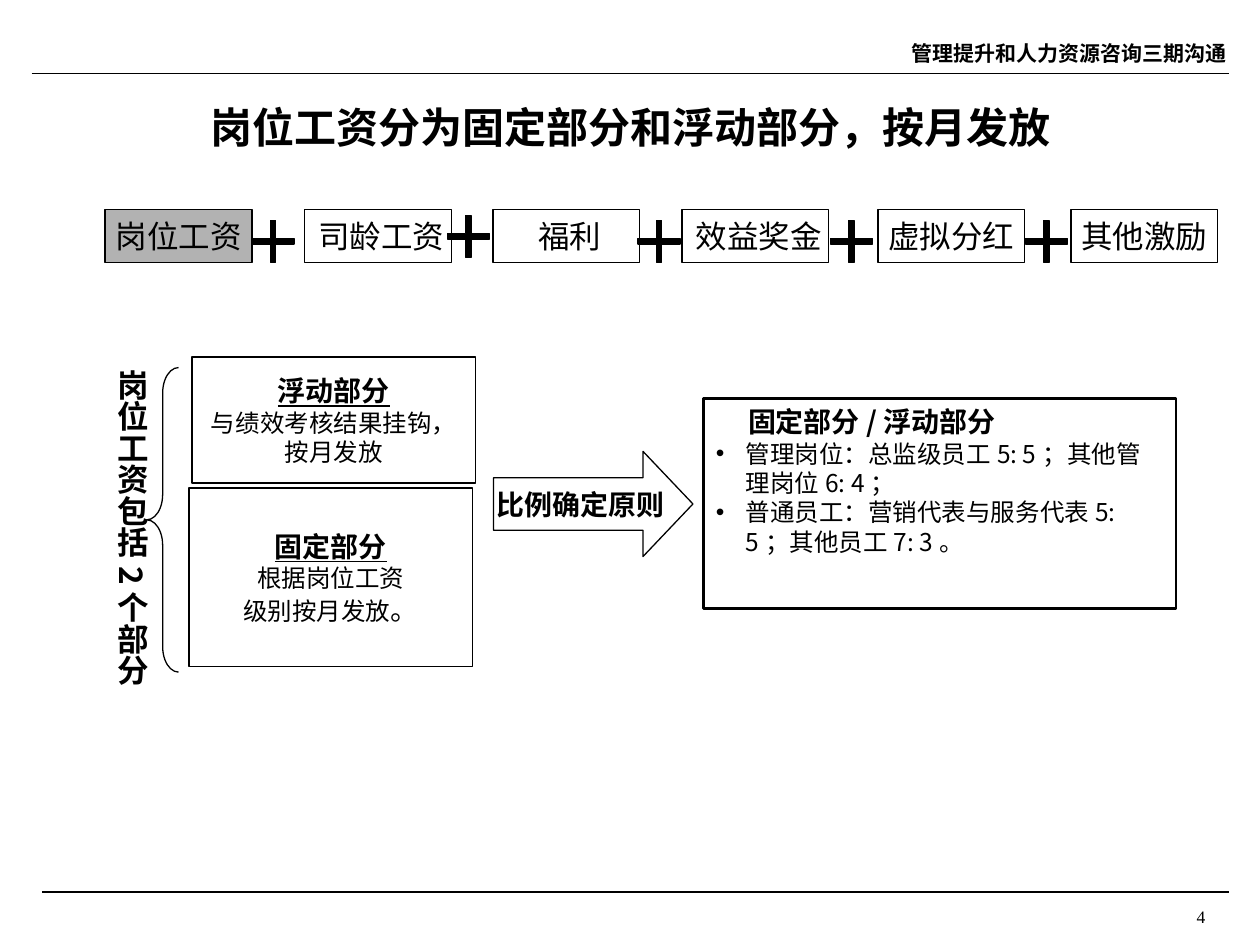
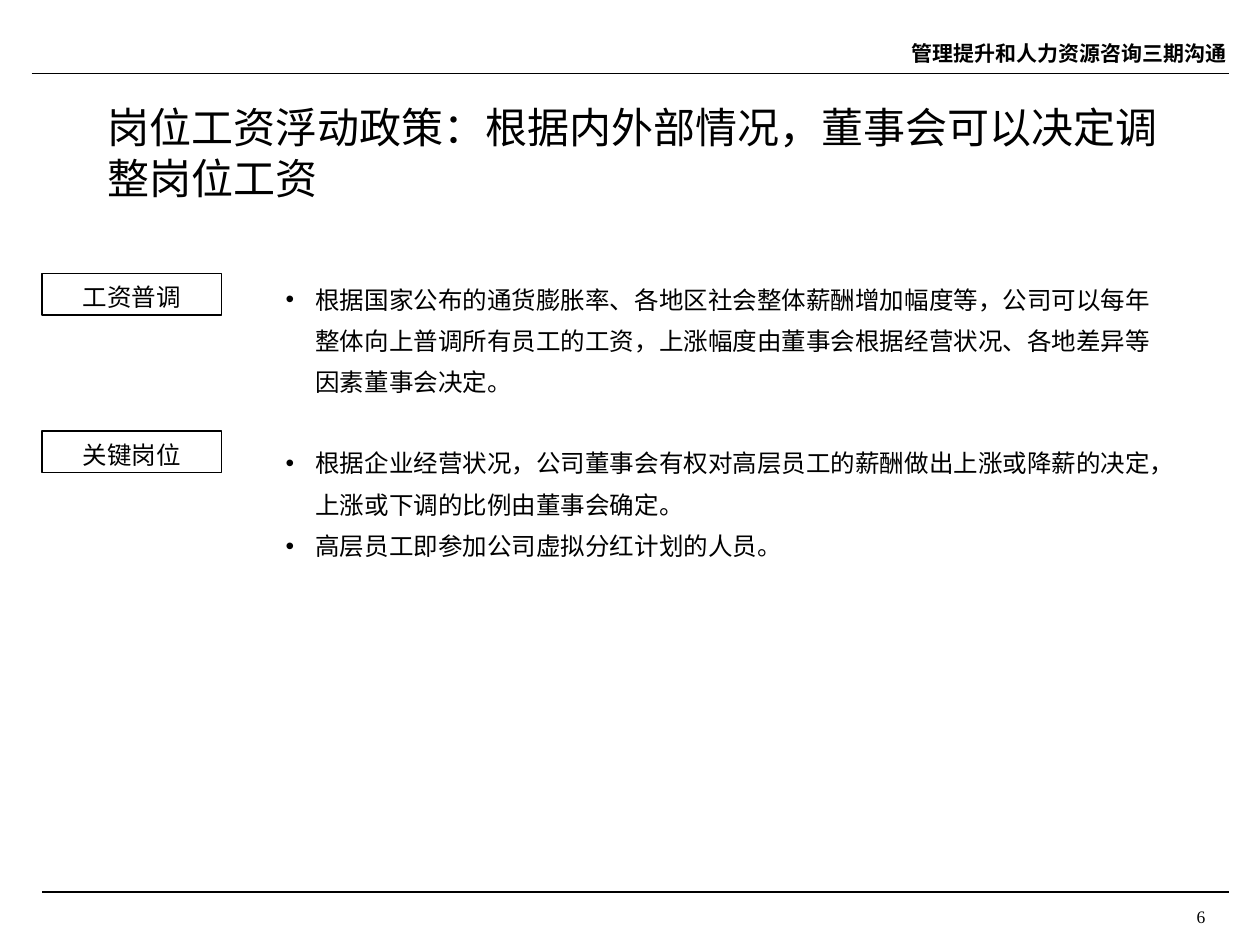
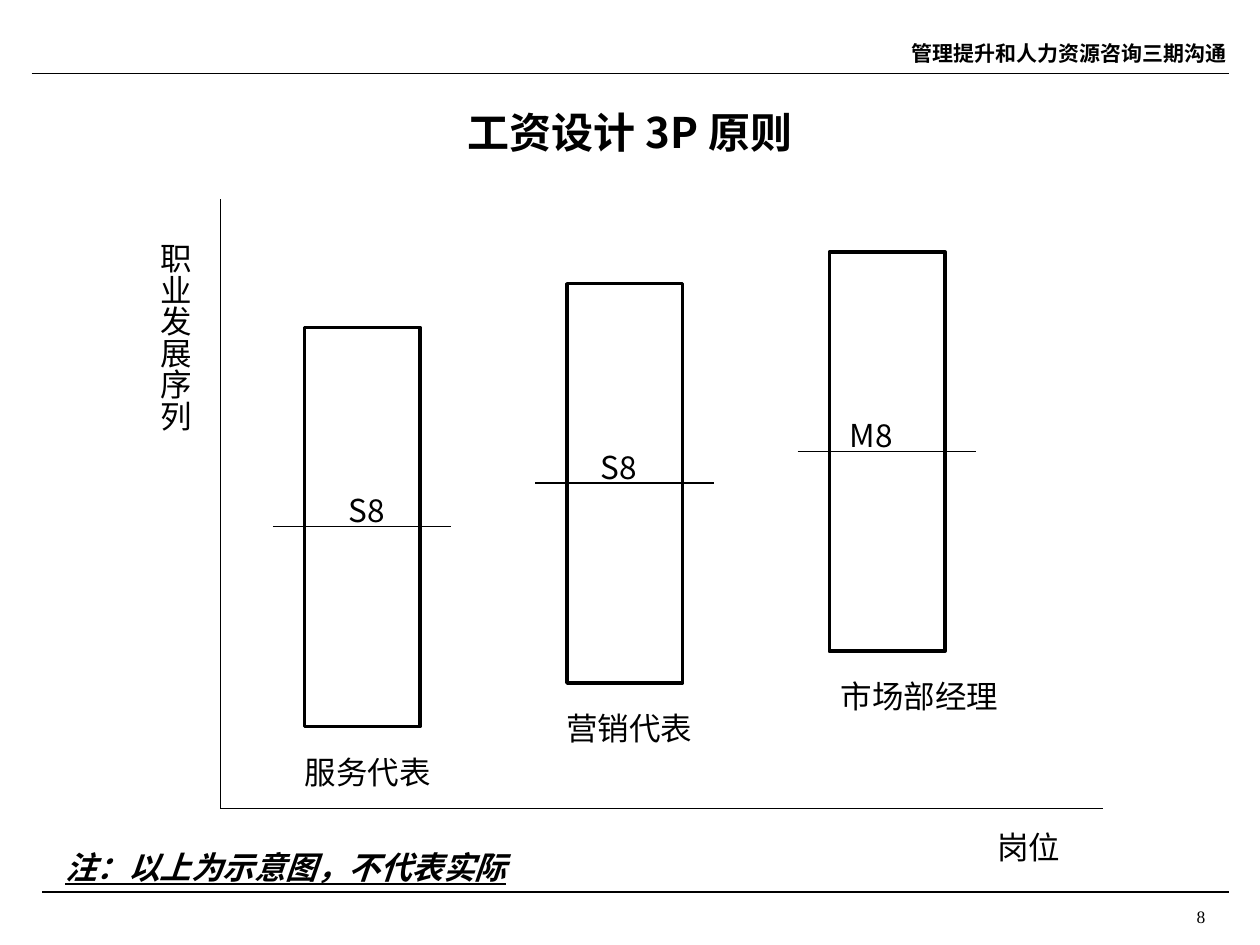
from dataclasses import dataclass

from lxml import etree
from pptx import Presentation
from pptx.dml.color import RGBColor
from pptx.enum.shapes import MSO_CONNECTOR, MSO_SHAPE
from pptx.enum.text import MSO_ANCHOR, MSO_AUTO_SIZE, PP_ALIGN
from pptx.oxml.ns import qn
from pptx.util import Cm, Pt

BLACK = RGBColor(0x00, 0x00, 0x00)
GREY = RGBColor(0xB2, 0xB2, 0xB2)
SANS = "Noto Sans CJK SC"
SERIF = "Times New Roman"
RECT, PLUS = MSO_SHAPE.RECTANGLE, MSO_SHAPE.CROSS
ARROW, BRACE = MSO_SHAPE.RIGHT_ARROW, MSO_SHAPE.LEFT_BRACE
STRAIGHT = MSO_CONNECTOR.STRAIGHT
LEFT, CENTER, RIGHT = PP_ALIGN.LEFT, PP_ALIGN.CENTER, PP_ALIGN.RIGHT
TOP, MIDDLE = MSO_ANCHOR.TOP, MSO_ANCHOR.MIDDLE
NO_FIT = MSO_AUTO_SIZE.NONE
TITLE_ONLY = 5
BULLET_INDENT = 0.6
HEADER = "管理提升和人力资源咨询三期沟通"


@dataclass
class Run:
    text: str
    size: float
    bold: bool = False
    italic: bool = False
    underline: bool = False
    font: str = SANS


@dataclass
class Para:
    runs: list
    align: int = LEFT
    bullet: bool = False
    indent: float = 0
    spacing: float = 1.0


class Deck:
    def __init__(self):
        self.prs = Presentation()
        self.prs.slide_width, self.prs.slide_height = Cm(25.4), Cm(19.05)
        self.s = None

    def slide(self, number, title, box, align=CENTER):
        """Start a slide with its header, footer rule, page number and title."""
        self.s = self.prs.slides.add_slide(self.prs.slide_layouts[TITLE_ONLY])
        self.line(0.85, 17.98, 24.77, 17.98)
        self.line(0.64, 1.48, 24.77, 1.48)
        self.text((17.15, 0.43, 7.83, 1.27),
                  [Para([Run(HEADER, 12, bold=True)], RIGHT)], anchor=MIDDLE)
        self.text((17.99, 18.13, 6.56, 0.49),
                  [Para([Run(str(number), 10, font=SERIF)], RIGHT)])
        sp = self.s.shapes.title
        sp.left, sp.top, sp.width, sp.height = map(Cm, box)
        self.fill_text(sp.text_frame, [Para([title], align)], MIDDLE)

    def fill_text(self, tf, paras, anchor=TOP, wrap=True):
        tf.auto_size = NO_FIT
        tf.word_wrap = wrap
        tf.vertical_anchor = anchor
        for i, para in enumerate(paras):
            p = tf.add_paragraph() if i else tf.paragraphs[0]
            p.alignment = para.align
            p.line_spacing = para.spacing
            pPr = p._p.get_or_add_pPr()
            indent = BULLET_INDENT if para.bullet else para.indent
            pPr.set("marL", str(Cm(indent)))
            if para.bullet:
                pPr.set("indent", str(-Cm(indent)))
                etree.SubElement(pPr, qn("a:buFont"), typeface="Arial")
                etree.SubElement(pPr, qn("a:buChar"), char="•")
            for run in para.runs:
                self.add_run(p, run)

    def add_run(self, p, run):
        r = p.add_run()
        r.text = run.text
        r.font.size = Pt(run.size)
        r.font.name = run.font
        r.font.bold = run.bold
        r.font.italic = run.italic
        r.font.underline = run.underline
        r.font.color.rgb = BLACK
        etree.SubElement(r._r.get_or_add_rPr(), qn("a:ea"), typeface=SANS)

    def text(self, box, paras, anchor=TOP):
        sp = self.s.shapes.add_textbox(*map(Cm, box))
        self.fill_text(sp.text_frame, paras, anchor)
        return sp

    def vertical_text(self, box, run):
        tf = self.text(box, [Para([run], CENTER)]).text_frame
        tf.margin_left = tf.margin_right = Cm(0.13)
        tf.margin_top = tf.margin_bottom = Cm(0.25)
        tf._txBody.bodyPr.set("vert", "eaVert")

    def label(self, box, text):
        self.text(box, [Para([Run(text, 18)], CENTER)])

    def shape(self, kind, box, paras=(), fill=None, weight=0.75,
              adjust=(), anchor=MIDDLE, wrap=True):
        sp = self.s.shapes.add_shape(kind, *map(Cm, box))
        sp.shadow.inherit = False
        for i, value in enumerate(adjust):
            sp.adjustments[i] = value
        if fill is None:
            sp.fill.background()
        else:
            sp.fill.solid()
            sp.fill.fore_color.rgb = fill
        sp.line.color.rgb = BLACK
        sp.line.width = Pt(weight)
        if paras:
            self.fill_text(sp.text_frame, paras, anchor, wrap)

    def line(self, x1, y1, x2, y2):
        cx = self.s.shapes.add_connector(STRAIGHT, Cm(x1), Cm(y1), Cm(x2), Cm(y2))
        cx.line.color.rgb = BLACK
        cx.line.width = Pt(0.75)
        etree.SubElement(cx._element.spPr, qn("a:effectLst"))


def pay_parts(deck):
    deck.slide(4, Run("岗位工资分为固定部分和浮动部分，按月发放", 24, bold=True),
               (1.91, 1.7, 21.59, 1.7))

    deck.shape(RECT, (3.87, 7.2, 5.72, 2.54), [
        Para([Run("浮动部分", 16, bold=True, underline=True)], CENTER),
        Para([Run("与绩效考核结果挂钩，按月发放", 14)], CENTER)])
    deck.shape(RECT, (3.81, 9.84, 5.72, 3.6), [
        Para([Run("固定部分", 16, bold=True, underline=True)], CENTER),
        Para([Run("根据岗位工资", 14)], CENTER),
        Para([Run("级别按月发放", 14), Run("。", 16)], CENTER)], wrap=False)
    deck.shape(BRACE, (2.96, 7.41, 0.64, 6.14), adjust=(0.8, 0.5))
    deck.vertical_text((1.91, 7.2, 1.27, 6.99),
                       Run("岗位工资包括2个部分", 18, bold=True))

    deck.shape(RECT, (14.18, 8.04, 9.53, 4.23), [
        Para([Run("固定部分/浮动部分", 16, bold=True)], indent=0.65),
        Para([Run("管理岗位：总监级员工5: 5；其他管理岗位6: 4；", 14)], bullet=True),
        Para([Run("普通员工：营销代表与服务代表5: 5；其他员工7: 3。", 14)], bullet=True),
    ], weight=1.5, anchor=TOP)
    deck.shape(ARROW, (9.95, 9.1, 4.02, 2.12),
               [Para([Run("比例确定原则", 16, bold=True)], CENTER)],
               adjust=(0.5, 0.475), wrap=False)

    components = [("岗位工资", 2.12, 0, GREY), ("司龄工资", 6.14, 0.14, None),
                  ("福利", 9.94, 0.14, None), ("效益奖金", 13.75, 0.14, None),
                  ("虚拟分红", 17.7, 0, None), ("其他激励", 21.59, 0, None)]
    for name, x, indent, fill in components:
        deck.shape(RECT, (x, 4.23, 2.96, 1.06),
                   [Para([Run(name, 18)], CENTER, indent=indent)],
                   fill=fill, wrap=False)
    for x, y in [(5.08, 4.44), (9.02, 4.34), (12.86, 4.44),
                 (16.74, 4.44), (20.67, 4.44)]:
        deck.shape(PLUS, (x, y, 0.85, 0.85), fill=BLACK, adjust=(0.438,))


def floating_policy(deck):
    deck.slide(6, Run("岗位工资浮动政策：根据内外部情况，董事会可以决定调整岗位工资",
                      24, font=SERIF),
               (1.91, 2.12, 21.8, 1.9), LEFT)
    policies = [
        ("工资普调", 5.51, (5.51, 5.92, 18.21, 1.65),
         ["根据国家公布的通货膨胀率、各地区社会整体薪酬增加幅度等，公司可以每年整体向上普调"
          "所有员工的工资，上涨幅度由董事会根据经营状况、各地差异等因素董事会决定。"]),
        ("关键岗位", 8.69, (5.51, 8.46, 18.42, 3.18),
         ["根据企业经营状况，公司董事会有权对高层员工的薪酬做出上涨或降薪的决定，"
          "上涨或下调的比例由董事会确定。",
          "高层员工即参加公司虚拟分红计划的人员。"]),
    ]
    for name, y, box, points in policies:
        deck.shape(RECT, (0.85, y, 3.61, 0.84),
                   [Para([Run(name, 14)], CENTER, spacing=1.2)], wrap=False)
        deck.text(box, [Para([Run(point, 14)], bullet=True, spacing=1.4)
                        for point in points], MIDDLE)


def salary_bands(deck):
    deck.slide(8, Run("工资设计3P原则", 24, bold=True), (1.91, 1.7, 21.59, 1.9))
    deck.line(4.45, 4.02, 4.45, 16.3)
    deck.line(4.45, 16.3, 22.23, 16.3)

    # name, name left, name width, grade, grade left, band top
    bands = [("服务代表", 5.72, 3.38, "S8", 6.55, 6.6),
             ("营销代表", 11.0, 3.38, "S8", 11.63, 5.72),
             ("市场部经理", 16.31, 4.45, "M8", 16.71, 5.08)]
    for i, (name, name_x, name_w, grade, grade_x, top) in enumerate(bands):
        x = 6.14 + 5.29 * i
        middle = top + 4.02
        deck.shape(RECT, (x, top, 2.33, 8.05), weight=2)
        deck.line(x - 0.64, middle, x + 2.96, middle)
        deck.label((name_x, top + 8.45, name_w, 1.02), name)
        deck.label((grade_x, top + 3.18, 1.7, 1.02), grade)

    deck.vertical_text((2.77, 4.65, 1.27, 7.62), Run("职业发展序列", 18))
    deck.label((19.05, 16.56, 3.38, 1.02), "岗位")
    deck.text((1.07, 16.97, 10.8, 1.02),
              [Para([Run("注：以上为示意图，不代表实际", 18,
                         bold=True, italic=True, underline=True)])])


def main():
    deck = Deck()
    pay_parts(deck)
    floating_policy(deck)
    salary_bands(deck)
    deck.prs.save("out.pptx")


if __name__ == "__main__":
    main()
